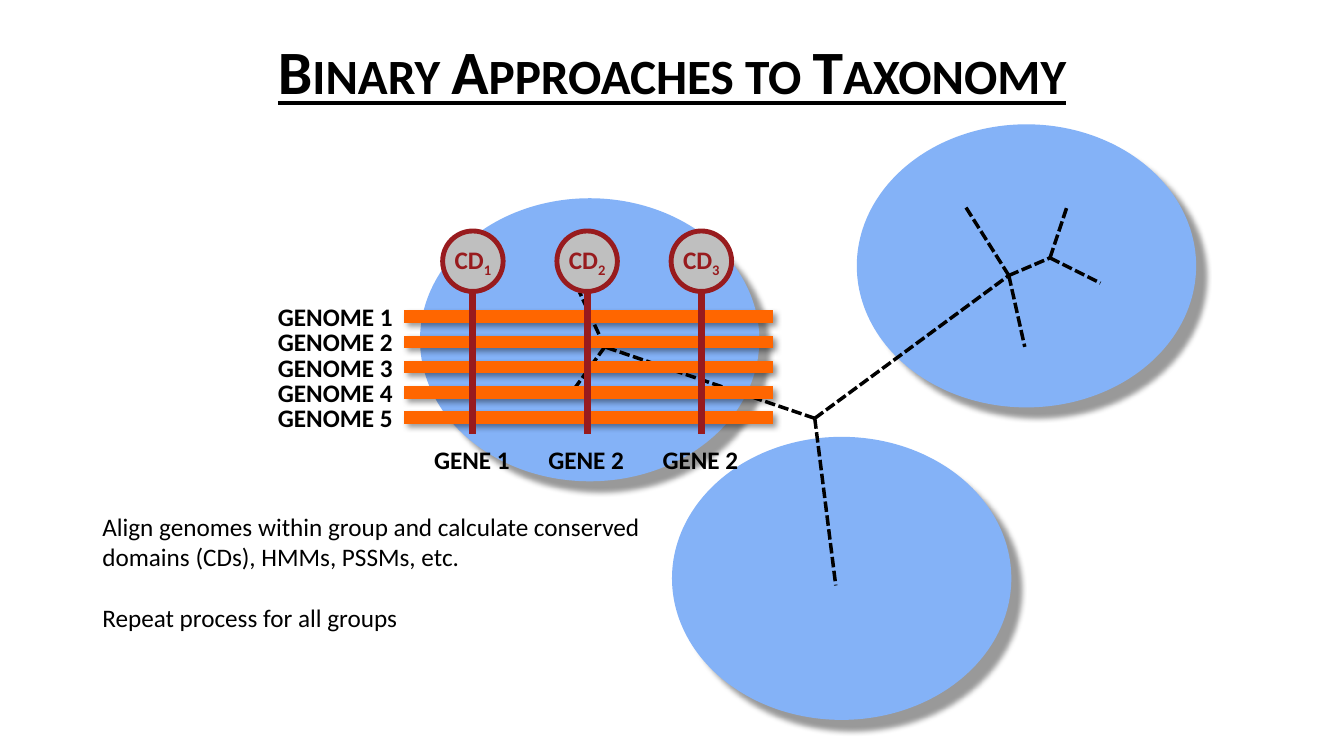
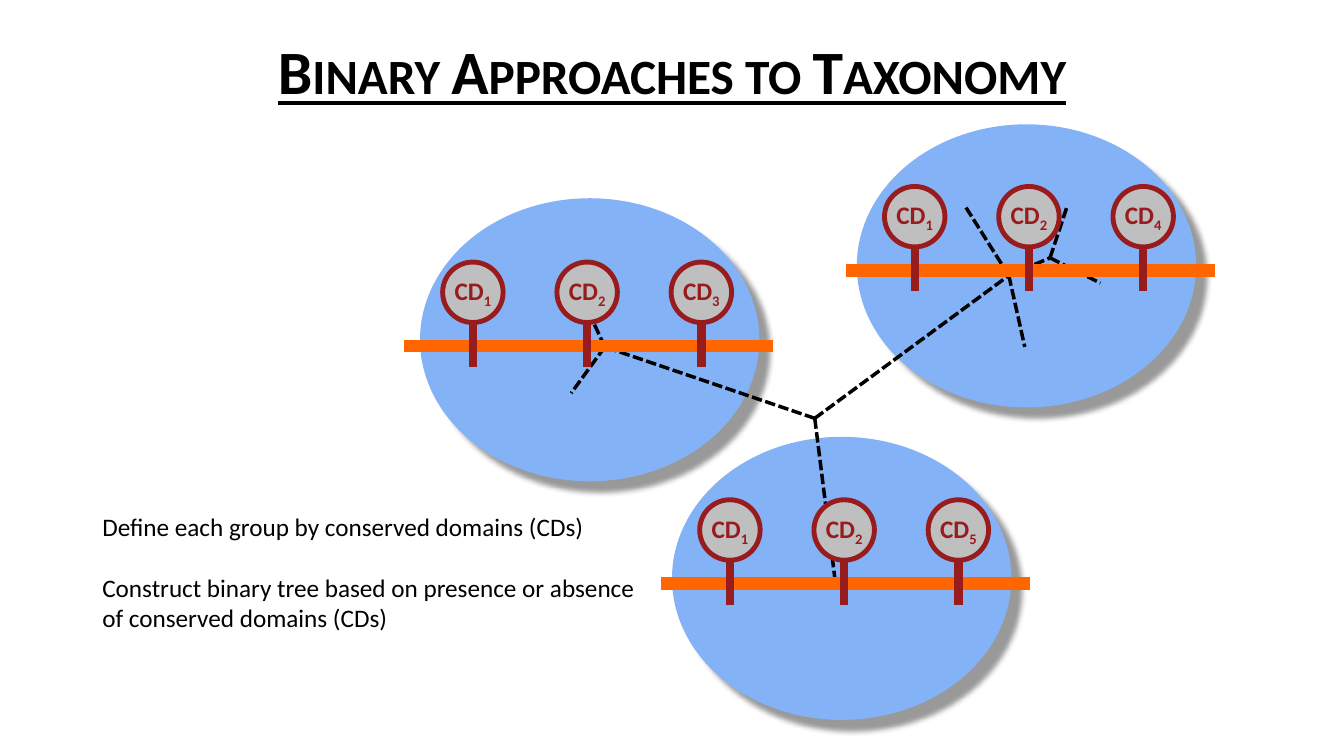
from lxml import etree
from pptx import Presentation, util as u
from pptx.dml.color import RGBColor
from pptx.enum import dml, shapes, text
from pptx.oxml.ns import qn

COLS, ROWS = 160, 90
CELL = u.Inches(7.5) / ROWS
FONT = "Calibri"
HUE = {"ink": "000000", "group": "84B2F7", "bar": "FF6600",
       "pin": "981B1E", "disc": "BFBFBF"}

GROUPS = [(102, 14.8), (50, 23.6), (80, 52)]
HUB, RIGHT, LEFT, TWIG = (97, 49.8), (120.1, 32.8), (72, 41.3), (125, 30.7)
TREE = [
    (HUB, [RIGHT, (99.5, 69.7), LEFT]),
    (RIGHT, [(115, 24.7), TWIG, (122, 41.3)]),
    (LEFT, [(69, 34.8), (68, 46.8)]),
    (TWIG, [(127, 24.7), (131, 33.7)]),
]
BAR, INSET, STEP, DISC = 43.9, 8.2, 13.6, 7.2


def cells(*nums):
    return [u.Emu(round(n * CELL)) for n in nums]


def rgb(name):
    return RGBColor.from_string(HUE[name])


def style(par, size=18, hue="ink", bold=True):
    font = par.font
    font.name, font.size, font.bold = FONT, u.Pt(size), bold
    font.color.rgb = rgb(hue)


def shade(item, dist=0):
    """Replace the theme shadow by one at dist points, or by none."""
    props = item._element.spPr
    for old in props.findall(qn("a:effectLst")):
        props.remove(old)
    effect = etree.SubElement(props, qn("a:effectLst"))
    if dist:
        cast = etree.SubElement(
            effect, qn("a:outerShdw"), blurRad=str(u.Pt(4)),
            dist=str(u.Pt(dist)), dir="2700000", algn="tl", rotWithShape="0")
        tint = etree.SubElement(cast, qn("a:srgbClr"), val=HUE["ink"])
        etree.SubElement(tint, qn("a:alpha"), val="40000")


def line(slide, start, end, hue, width, dash=None, dist=0):
    item = slide.shapes.add_connector(
        shapes.MSO_CONNECTOR.STRAIGHT, *cells(*start, *end))
    item.line.color.rgb = rgb(hue)
    item.line.width = u.Pt(width)
    if dash:
        item.line.dash_style = dash
    shade(item, dist)


def oval(slide, box, hue):
    item = slide.shapes.add_shape(shapes.MSO_SHAPE.OVAL, *cells(*box))
    item.fill.solid()
    item.fill.fore_color.rgb = rgb(hue)
    item.line.fill.background()
    return item


def label(slide, box, words, wrap=False):
    frame = slide.shapes.add_textbox(*cells(*box)).text_frame
    frame.word_wrap = wrap
    frame.text = words
    for par in frame.paragraphs:
        style(par)
    return frame


def title(slide, words):
    frame = label(slide, (11, 0.2, 138, 17.4), words, True)
    frame.vertical_anchor = text.MSO_ANCHOR.MIDDLE
    par = frame.paragraphs[0]
    par.alignment = text.PP_ALIGN.CENTER
    par.line_spacing = 0.9
    style(par, 44)
    run = par.runs[0]
    run.font.underline = True
    run.font._element.set("cap", "small")


def body(slide, width, lines):
    frame = label(slide, (11, 60.3, width, 15.7), "\n".join(lines), True)
    for par in frame.paragraphs:
        style(par, bold=False)
    for par in frame.paragraphs[1:]:
        par.space_before = u.Pt(22)


def bar(slide, x, y, dist=0):
    line(slide, (x, y), (x + BAR, y), "bar", 9, dist=dist)


def pin(slide, x, y, foot, width, num):
    """Draw a conserved domain: a disc centred at x, y on a stem to foot."""
    line(slide, (x, y), (x, foot), "pin", width)
    disc = oval(slide, (x - DISC / 2, y - DISC / 2, DISC, DISC), "disc")
    disc.line.color.rgb = rgb("pin")
    disc.line.width = u.Pt(3.5)
    shade(disc)
    frame = disc.text_frame
    frame.word_wrap = False
    frame.margin_left = frame.margin_right = 0
    frame.margin_top = frame.margin_bottom = 0
    frame.vertical_anchor = text.MSO_ANCHOR.MIDDLE
    par = frame.paragraphs[0]
    par.alignment = text.PP_ALIGN.CENTER
    style(par, hue="pin")
    par.add_run().text = "CD"
    sub = par.add_run()
    sub.text = str(num)
    sub.font._element.set("baseline", "-25000")


def base(deck):
    """Add a slide with the shared title, groups and tree."""
    slide = deck.slides.add_slide(deck.slide_layouts[6])
    title(slide, "Binary Approaches to Taxonomy")
    for spot in GROUPS:
        shade(oval(slide, (*spot, 40.4, 33.7), "group"), 11)
    for node, tips in TREE:
        for tip in tips:
            line(slide, node, tip, "ink", 2.5, dml.MSO_LINE.SQUARE_DOT)
    return slide


def align(deck):
    slide = base(deck)
    body(slide, 69, [
        "Align genomes within group and calculate conserved domains (CDs), "
        "HMMs, PSSMs, etc.",
        "Repeat process for all groups"])
    left = 48.1
    for row in range(5):
        y = 37.7 + 3 * row
        bar(slide, left, y, 3)
        label(slide, (31.9, y - 2.4, 16.2, 4.8), f"GENOME {row + 1}")
    for col, gene in enumerate(["GENE 1", "GENE 2", "GENE 2"]):
        x = left + INSET + STEP * col
        pin(slide, x, 31.1, 51.7, 5, col + 1)
        label(slide, (x - 5.8, 52.3, 11.5, 4.8), gene)


def define(deck):
    slide = base(deck)
    body(slide, 66.6, [
        "Define each group by conserved domains (CDs)",
        "Construct binary tree based on presence or absence of conserved "
        "domains (CDs)"])
    for x, y, nums in [(48.1, 41.2, (1, 2, 3)), (78.7, 69.5, (1, 2, 5)),
                       (100.7, 32.2, (1, 2, 4))]:
        bar(slide, x, y)
        for col, num in enumerate(nums):
            pin(slide, x + INSET + STEP * col, y - 6.4, y + 2.5, 6, num)


def main():
    deck = Presentation()
    deck.slide_width, deck.slide_height = cells(COLS, ROWS)
    align(deck)
    define(deck)
    deck.save("out.pptx")


if __name__ == "__main__":
    main()
